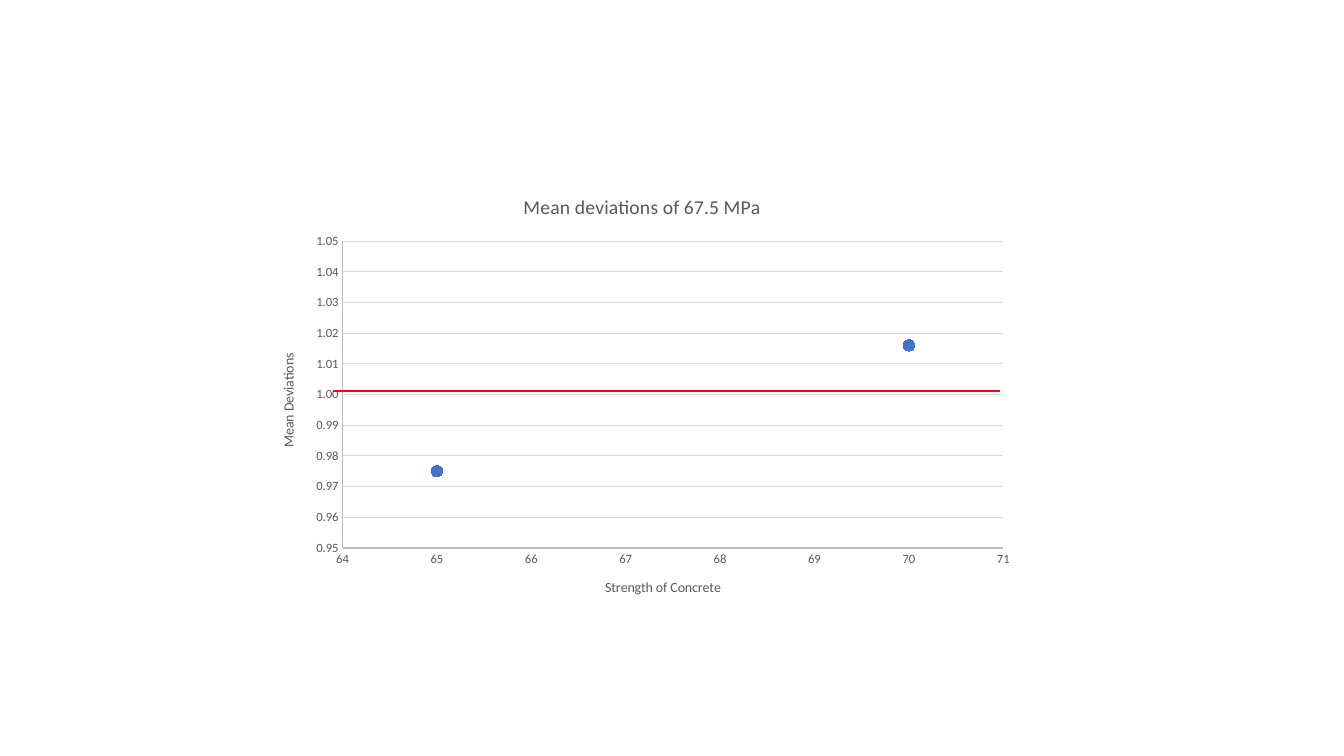
from lxml import etree
from pptx import Presentation
from pptx.chart.data import XyChartData
from pptx.dml.color import RGBColor
from pptx.enum.chart import XL_CHART_TYPE as ChartType, XL_MARKER_STYLE as Marker, XL_TICK_MARK as Tick
from pptx.enum.shapes import MSO_CONNECTOR as Connector
from pptx.oxml import parse_xml
from pptx.oxml.ns import nsdecls, qn
from pptx.util import Inches, Pt

FONT = "Calibri"
GREY, AXIS_GREY, GRID_GREY = "595959", "BFBFBF", "D9D9D9"
BLUE, RED = "4472C4", "FF0000"
DEVIATIONS = [(65, 0.975), (70, 1.016)]


def rgb(color):
    return RGBColor.from_string(color)


def style_font(font, size):
    font.name, font.size, font.bold = FONT, Pt(size), False
    font.color.rgb = rgb(GREY)


def style_line(line, color, width):
    line.color.rgb = rgb(color)
    line.width = Pt(width)


def set_title(owner, text, size):
    """Title a chart or an axis."""
    tf = (owner.chart_title if hasattr(owner, "chart_title") else owner.axis_title).text_frame
    tf.text = text
    style_font(tf.paragraphs[0].runs[0].font, size)


def style_axis(axis, title, low, high, step, number_format):
    axis.minimum_scale, axis.maximum_scale, axis.major_unit = low, high, step
    axis.major_tick_mark = axis.minor_tick_mark = Tick.NONE
    axis.tick_labels.number_format = number_format
    axis.tick_labels.number_format_is_linked = False
    style_font(axis.tick_labels.font, 9)
    style_line(axis.format.line, AXIS_GREY, 0.75)
    set_title(axis, title, 10)


def place_plot(chart, x, y, w, h):
    """Fix the inner plot area, in fractions of the chart."""
    plot_area = chart.plots[0]._element.getparent()
    for layout in plot_area.findall(qn("c:layout")):
        plot_area.remove(layout)
    values = {"xMode": "edge", "yMode": "edge", "x": x, "y": y, "w": w, "h": h}
    parts = "".join(f'<c:{tag} val="{val}"/>' for tag, val in values.items())
    plot_area.insert(0, parse_xml(
        f'<c:layout {nsdecls("c")}><c:manualLayout><c:layoutTarget val="inner"/>'
        f'{parts}</c:manualLayout></c:layout>'))


def add_deviation_chart(s):
    data = XyChartData()
    points = data.add_series("Series 1")
    for strength, deviation in DEVIATIONS:
        points.add_data_point(strength, deviation)
    chart = s.shapes.add_chart(ChartType.XY_SCATTER, Inches(2.56), Inches(1.74),
                               Inches(7.62), Inches(4.35), data).chart
    chart.has_legend = False
    chart.font.name, chart.font.size = FONT, Pt(10)
    set_title(chart, "Mean deviations of 67.5 MPa", 14)
    chart.chart_title.include_in_layout = False

    style_axis(chart.category_axis, "Strength of Concrete", 64, 71, 1, "General")
    style_axis(chart.value_axis, "Mean Deviations", 0.95, 1.05, 0.01, "0.00")
    chart.category_axis.has_major_gridlines = False
    style_line(chart.value_axis.major_gridlines.format.line, GRID_GREY, 0.75)
    place_plot(chart, 0.11, 0.15, 0.86, 0.7)

    chart.plots[0].vary_by_categories = False
    series = chart.plots[0].series[0]
    series.smooth = False
    series.format.line.fill.background()
    series.marker.style, series.marker.size = Marker.CIRCLE, 8
    series.marker.format.fill.solid()
    series.marker.format.fill.fore_color.rgb = rgb(BLUE)
    style_line(series.marker.format.line, BLUE, 0.75)


def add_line(s, x1, y1, x2, y2, color, width):
    line = s.shapes.add_connector(Connector.STRAIGHT, Inches(x1), Inches(y1),
                                  Inches(x2), Inches(y2))
    style_line(line.line, color, width)
    etree.SubElement(line._element.spPr, qn("a:effectLst"))


def main():
    prs = Presentation()
    prs.slide_width, prs.slide_height = Inches(13.33), Inches(7.5)
    s = prs.slides.add_slide(prs.slide_layouts[6])
    add_deviation_chart(s)
    add_line(s, 9.92, 3.88, 3.3, 3.88, RED, 1.5)
    prs.save("out.pptx")


if __name__ == "__main__":
    main()
